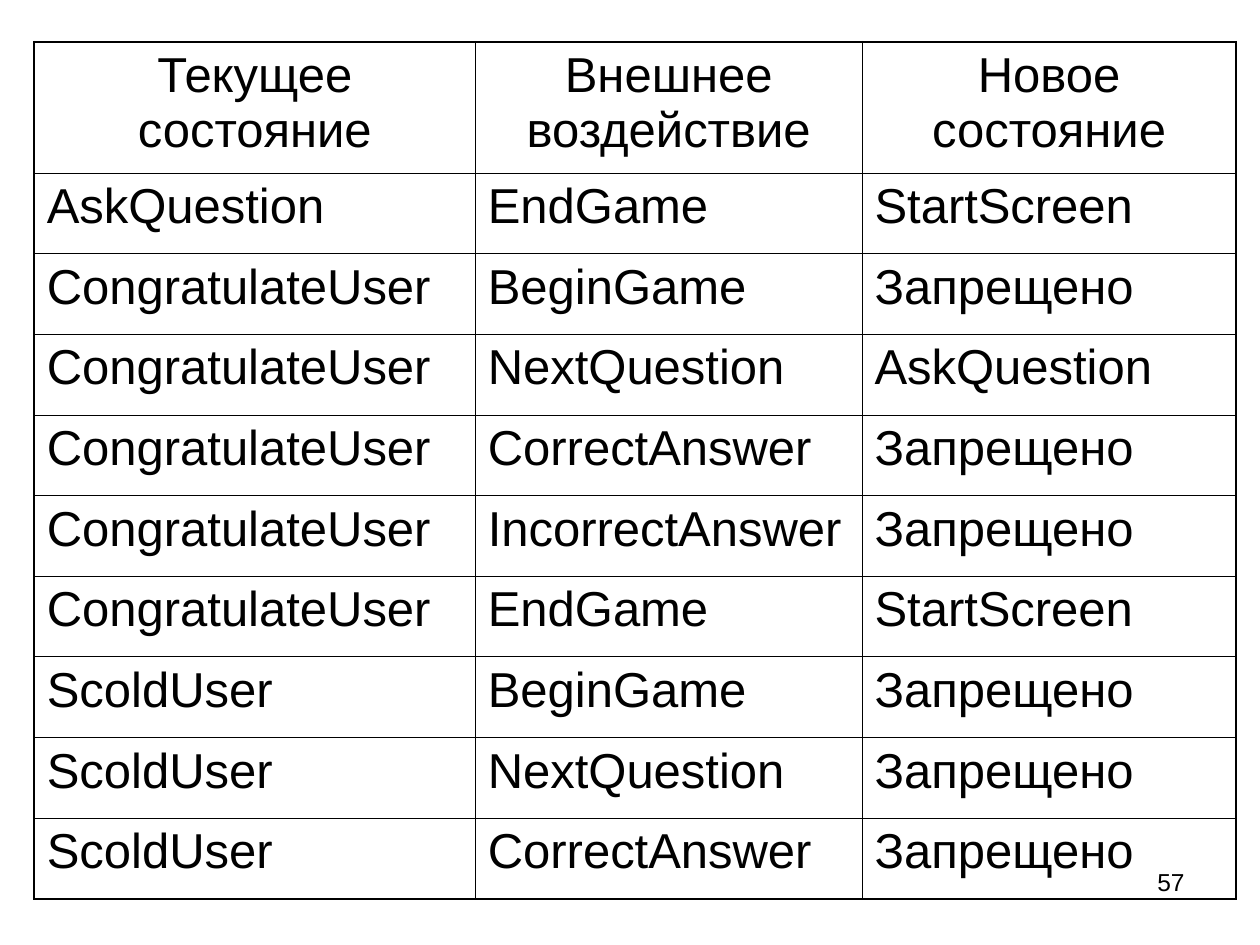
from lxml.etree import SubElement
from pptx import Presentation
from pptx.dml.color import RGBColor
from pptx.enum.text import PP_ALIGN
from pptx.oxml.ns import qn
from pptx.util import Pt

BLACK = "000000"
THIN, THICK = 0.45, 1.08
COLUMN_WIDTHS = [252, 221, 213.8]
HEADER_HEIGHT, ROW_HEIGHT = 74.9, 46.1
ROWS = [
    ("Текущее состояние", "Внешнее воздействие", "Новое состояние"),
    ("AskQuestion", "EndGame", "StartScreen"),
    ("CongratulateUser", "BeginGame", "Запрещено"),
    ("CongratulateUser", "NextQuestion", "AskQuestion"),
    ("CongratulateUser", "CorrectAnswer", "Запрещено"),
    ("CongratulateUser", "IncorrectAnswer", "Запрещено"),
    ("CongratulateUser", "EndGame", "StartScreen"),
    ("ScoldUser", "BeginGame", "Запрещено"),
    ("ScoldUser", "NextQuestion", "Запрещено"),
    ("ScoldUser", "CorrectAnswer", "Запрещено"),
]


def set_font(paragraph, size, color=BLACK):
    paragraph.font.name = "Arial"
    paragraph.font.size = Pt(size)
    paragraph.font.color.rgb = RGBColor.from_string(color)


def add_border(cell, side, width, color=BLACK):
    """Draw one side of a cell; sides must be added in the order L, R, T, B."""
    line = SubElement(cell._tc.get_or_add_tcPr(), qn(f"a:ln{side}"), w=str(Pt(width)))
    SubElement(SubElement(line, qn("a:solidFill")), qn("a:srgbClr"), val=color)


presentation = Presentation()
presentation.slide_width, presentation.slide_height = Pt(720), Pt(540)
slide = presentation.slides.add_slide(presentation.slide_layouts[6])

# State transition table: thick outer frame, thin inner lines
last_row, last_column = len(ROWS) - 1, len(COLUMN_WIDTHS) - 1
table_height = HEADER_HEIGHT + last_row * ROW_HEIGHT
table = slide.shapes.add_table(
    len(ROWS), len(COLUMN_WIDTHS), Pt(19.6), Pt(23.9), Pt(sum(COLUMN_WIDTHS)), Pt(table_height)
).table
table.first_row = table.horz_banding = False
for column, width in zip(table.columns, COLUMN_WIDTHS):
    column.width = Pt(width)

for r, texts in enumerate(ROWS):
    table.rows[r].height = Pt(ROW_HEIGHT if r else HEADER_HEIGHT)
    for c, text in enumerate(texts):
        cell = table.cell(r, c)
        outer_sides = {"L": c == 0, "R": c == last_column, "T": r == 0, "B": r == last_row}
        for side, is_outer in outer_sides.items():
            add_border(cell, side, THICK if is_outer else THIN)
        cell.fill.background()
        cell.text = text
        paragraph = cell.text_frame.paragraphs[0]
        paragraph.alignment = PP_ALIGN.LEFT if r else PP_ALIGN.CENTER
        paragraph.space_before = Pt(7)
        set_font(paragraph, 28)

# Page number
page_number = slide.shapes.add_textbox(Pt(516), Pt(492), Pt(168), Pt(37.5))
page_number.text_frame.word_wrap = True
paragraph = page_number.text_frame.paragraphs[0]
paragraph.text = "57"
paragraph.alignment = PP_ALIGN.RIGHT
set_font(paragraph, 14)

presentation.save("out.pptx")
